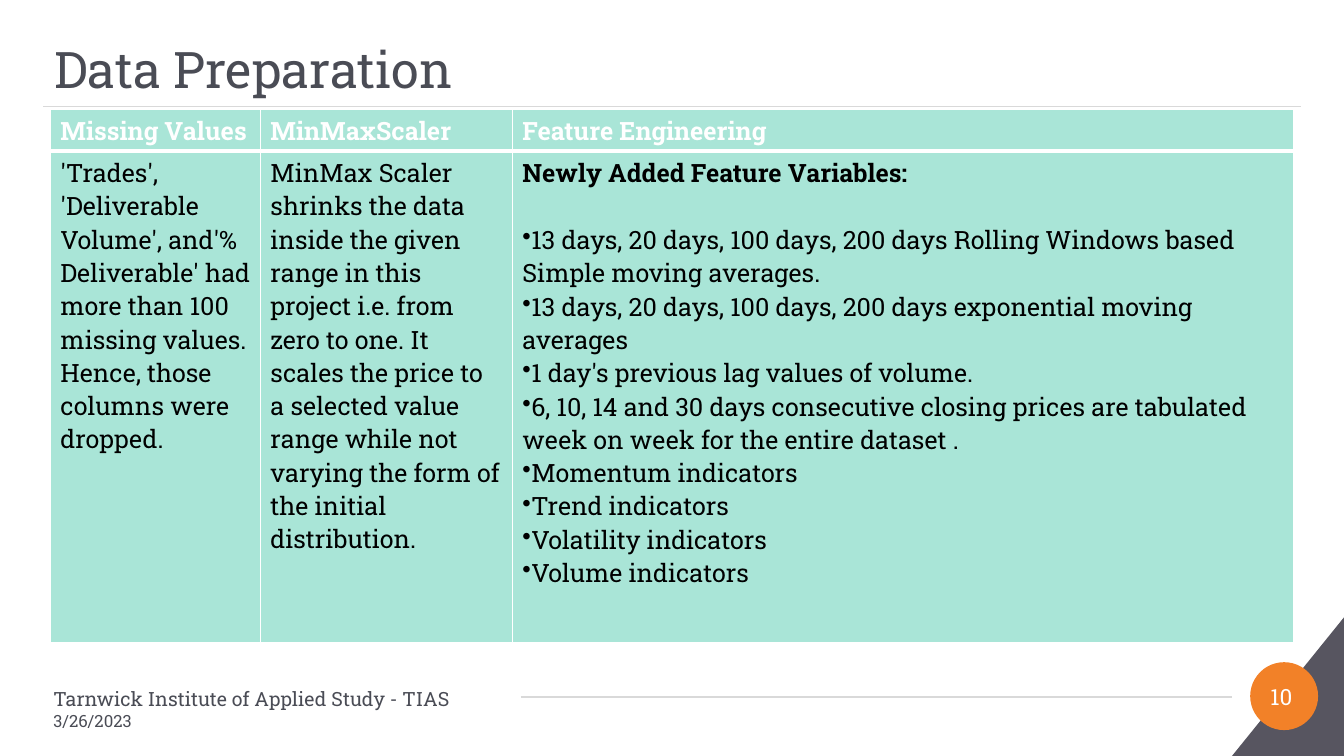
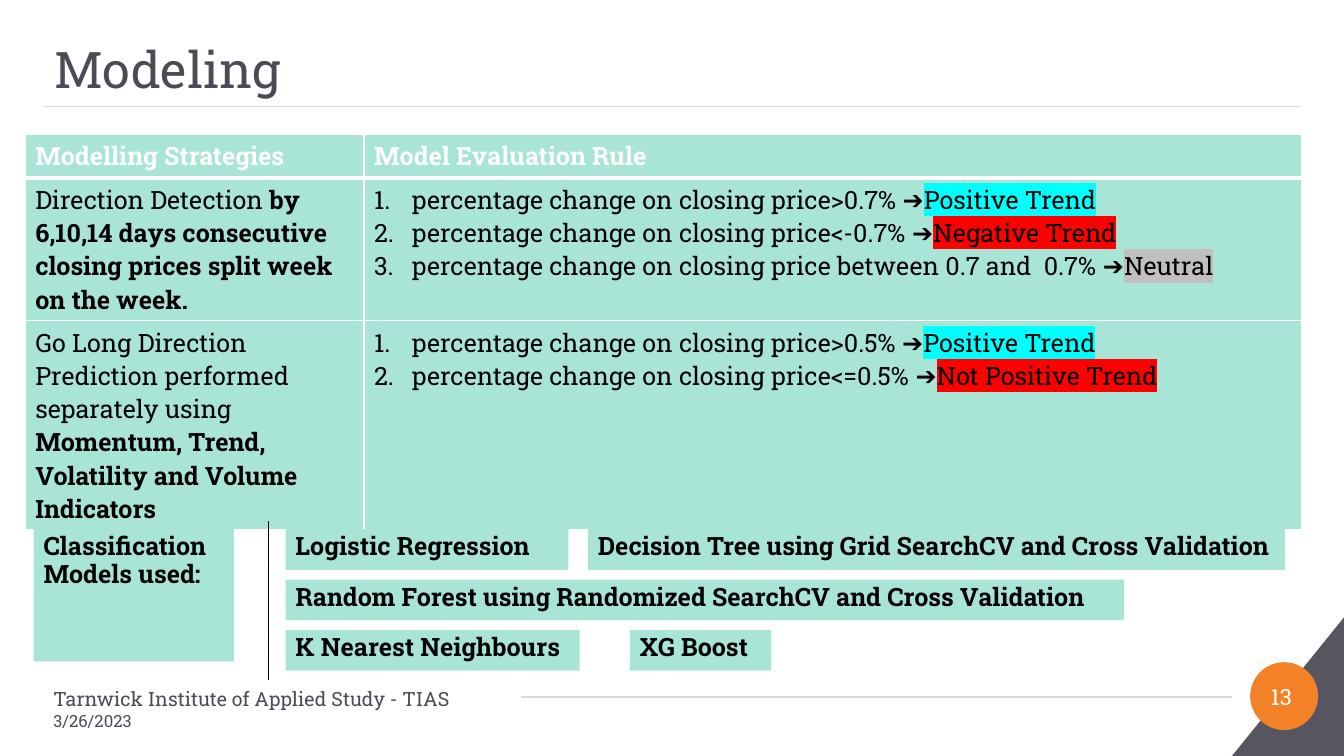
from lxml import etree
from pptx import Presentation
from pptx import util as u
from pptx.dml.color import RGBColor
from pptx.enum import shapes, text
from pptx.oxml.ns import qn

FACE = "Roboto Slab"
MINT = "A9E5D7"
SLATE = "4A4C55"
GREY = "D9D9D9"
WHITE = "FFFFFF"
BLACK = "000000"
CYAN = "00FFFF"
RED = "FF0000"
SILVER = "C0C0C0"
hue = RGBColor.from_string


def write(frame, paras, size, color, bold=False):
    frame.word_wrap = True
    for i, runs in enumerate(paras):
        para = frame.add_paragraph() if i else frame.paragraphs[0]
        para.font.name = FACE
        para.font.size = u.Pt(size)
        para.font.color.rgb = hue(color)
        para.font.bold = bold
        for words, mark in [(runs, "")] if isinstance(runs, str) else runs:
            run = para.add_run()
            run.text = words
            if mark == "bold":
                run.font.bold = True
            elif mark:
                props = run.font._element
                light = etree.SubElement(props, qn("a:highlight"))
                etree.SubElement(light, qn("a:srgbClr"), val=mark)


def rule(slide, x1, y1, x2, y2, color, width):
    line = slide.shapes.add_connector(
        shapes.MSO_CONNECTOR.STRAIGHT, u.Pt(x1), u.Pt(y1), u.Pt(x2), u.Pt(y2))
    line.line.color.rgb = hue(color)
    line.line.width = u.Pt(width)
    etree.SubElement(line._element.spPr, qn("a:effectLst"))


prep = [
    ["Missing Values", "MinMaxScaler", "Feature Engineering"],
    [
        ["'Trades', 'Deliverable Volume', and'% Deliverable' had more than 100 "
         "missing values. Hence, those columns were dropped."],
        ["MinMax Scaler shrinks the data inside the given range in this project "
         "i.e. from zero to one. It scales the price to a selected value range "
         "while not varying the form of the initial distribution."],
        [
            [("Newly Added Feature Variables:", "bold")],
            "13 days, 20 days, 100 days, 200 days Rolling Windows based Simple moving averages.",
            "13 days, 20 days, 100 days, 200 days exponential moving averages",
            "1 day's previous lag values of volume.",
            "6, 10, 14 and 30 days consecutive closing prices are tabulated "
            "week on week for the entire dataset .",
            "Momentum indicators",
            "Trend indicators",
            "Volatility indicators",
            "Volume indicators",
        ],
    ],
]

change = "percentage change on closing price"
model = [
    ["Modelling Strategies", "Model Evaluation Rule"],
    [
        [[("Direction Detection ", ""),
          ("by 6,10,14 days consecutive closing prices split week on the week.", "bold")]],
        [
            [(change + ">0.7% ➔", ""), ("Positive Trend", CYAN)],
            [(change + "<-0.7% ➔", ""), ("Negative Trend", RED)],
            [(change + " between 0.7 and  0.7% ➔", ""), ("Neutral", SILVER)],
        ],
    ],
    [
        [[("Go Long Direction Prediction performed separately using ", ""),
          ("Momentum, Trend, Volatility and Volume Indicators", "bold")]],
        [
            [(change + ">0.5% ➔", ""), ("Positive Trend", CYAN)],
            [(change + "<=0.5% ➔", ""), ("Not Positive Trend", RED)],
        ],
    ],
]

pages = [
    ("Data Preparation", "10", 36, 78, [150, 180, 558], [30, 351], prep),
    ("Modeling", "13", 18, 96, [242, 670], [31, 102, 149], model),
]

deck = Presentation()
deck.slide_width = u.Pt(960)
deck.slide_height = u.Pt(540)
grids = []

for title, number, left, top, cols, rows, cells in pages:
    slide = deck.slides.add_slide(deck.slide_layouts[6])
    rule(slide, 31, 76.3, 929, 76.3, GREY, 1)
    rule(slide, 372, 498, 880, 498, GREY, 1)

    draft = slide.shapes.build_freeform(u.Pt(880), u.Pt(540))
    draft.add_line_segments([(u.Pt(960), u.Pt(540)), (u.Pt(960), u.Pt(441))])
    corner = draft.convert_to_shape()
    badge = slide.shapes.add_shape(
        shapes.MSO_SHAPE.OVAL, u.Pt(893), u.Pt(473), u.Pt(48.5), u.Pt(48.5))
    for shape, color in [(corner, "575560"), (badge, "F28128")]:
        shape.shadow.inherit = False
        shape.fill.solid()
        shape.fill.fore_color.rgb = hue(color)
        shape.line.fill.background()
    frame = badge.text_frame
    frame.margin_left = frame.margin_top = frame.margin_bottom = 0
    frame.margin_right = u.Pt(4)
    frame.vertical_anchor = text.MSO_ANCHOR.MIDDLE
    write(frame, [number], 16, WHITE)
    frame.paragraphs[0].alignment = text.PP_ALIGN.CENTER

    footer = ["Tarnwick Institute of Applied Study - TIAS", "3/26/2023"]
    for x, y, w, h, paras, size in [
        (31.5, 21.5, 594, 55, [title], 36),
        (31, 492, 354, 29, footer, 14),
    ]:
        frame = slide.shapes.add_textbox(u.Pt(x), u.Pt(y), u.Pt(w), u.Pt(h)).text_frame
        frame.vertical_anchor = text.MSO_ANCHOR.MIDDLE
        write(frame, paras, size, SLATE)
    frame.paragraphs[1].font.size = u.Pt(12)

    grid = slide.shapes.add_table(
        len(rows), len(cols), u.Pt(left), u.Pt(top), u.Pt(sum(cols)), u.Pt(sum(rows))).table
    grid.horz_banding = False
    grids.append(grid)
    for col, width in zip(grid.columns, cols):
        col.width = u.Pt(width)
    for r, height in enumerate(rows):
        grid.rows[r].height = u.Pt(height)
        for c, paras in enumerate(cells[r]):
            cell = grid.cell(r, c)
            cell.fill.solid()
            cell.fill.fore_color.rgb = hue(MINT)
            if r:
                write(cell.text_frame, paras, 18, BLACK)
            else:
                write(cell.text_frame, [paras], 18, WHITE, True)
            props = cell._tc.get_or_add_tcPr()
            for i, side in enumerate("LRTB"):
                thick = (r, side) in [(0, "B"), (1, "T")]
                edge = etree.Element(qn("a:ln" + side), w=str(u.Pt(3 if thick else 1)))
                fill = etree.SubElement(edge, qn("a:solidFill"))
                etree.SubElement(fill, qn("a:srgbClr"), val=WHITE)
                props.insert(i, edge)

traits = grids[0].cell(1, 2).text_frame.paragraphs
traits[0].space_after = u.Pt(24)
for para in traits[1:]:
    bullet = etree.Element(qn("a:buChar"), char="•")
    para._p.get_or_add_pPr().insert(0, bullet)

for r in (1, 2):
    for para in grids[1].cell(r, 1).text_frame.paragraphs:
        props = para._p.get_or_add_pPr()
        props.set("marL", str(u.Pt(27)))
        props.set("indent", str(u.Pt(-27)))
        props.insert(0, etree.Element(qn("a:buAutoNum"), type="arabicPeriod"))

rule(slide, 192, 372, 192, 486, BLACK, 0.75)
for x, y, w, h, label in [
    (24, 378, 143, 94.5, "Classification Models used:"),
    (204, 378, 202, 29, "Logistic Regression"),
    (420, 378, 498, 29, "Decision Tree using Grid SearchCV and Cross Validation"),
    (204, 414, 599, 29, "Random Forest using Randomized SearchCV and Cross Validation"),
    (204, 450, 210, 29, "K Nearest Neighbours"),
    (450, 450, 101, 29, "XG Boost"),
]:
    box = slide.shapes.add_textbox(u.Pt(x), u.Pt(y), u.Pt(w), u.Pt(h))
    box.fill.solid()
    box.fill.fore_color.rgb = hue(MINT)
    write(box.text_frame, [label], 18, BLACK, True)
    box.text_frame.paragraphs[0].line_spacing = 0.9

deck.save("out.pptx")
